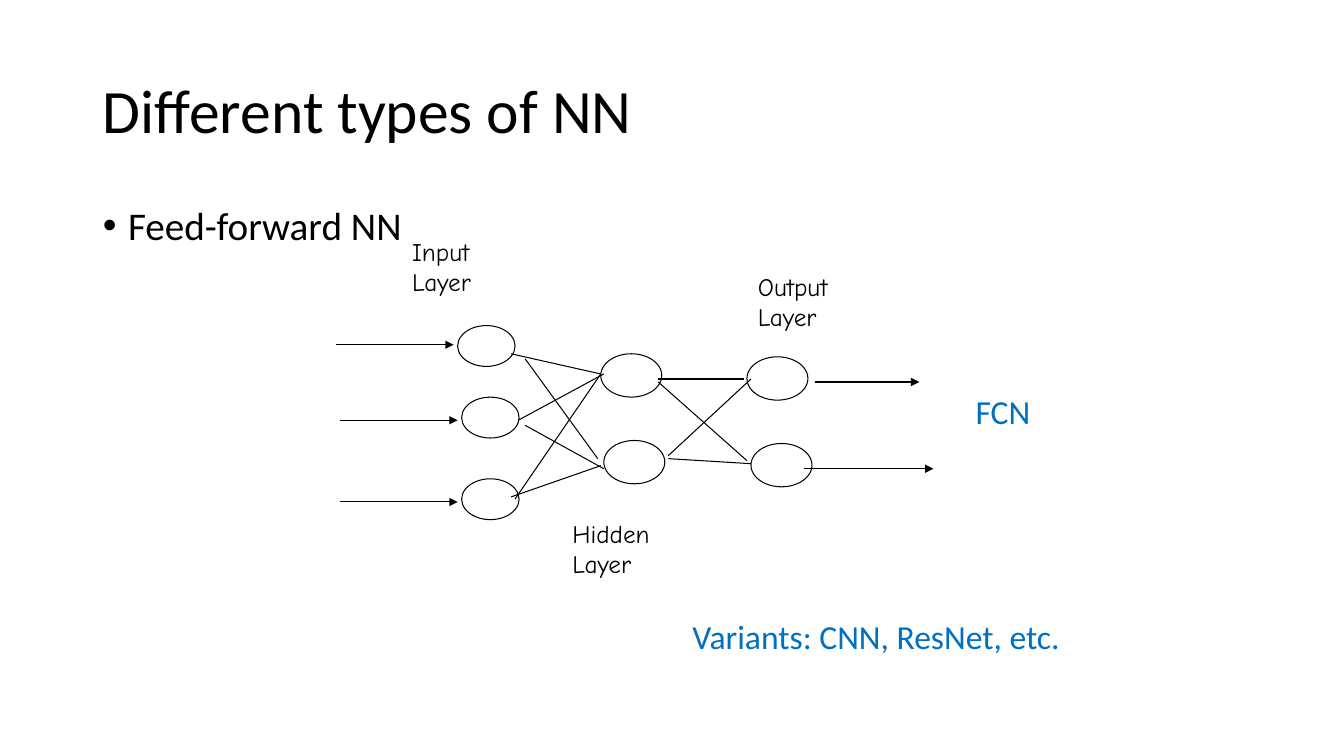
import pptx
import pptx.dml.color
import pptx.enum.shapes
import pptx.enum.text
import pptx.util
import lxml.etree

CELL = pptx.util.Inches(0.1)  # the page is 133.33 columns by 75 rows
BLACK, WHITE, BLUE = "000000", "FFFFFF", "0070C0"


def grid(*cells):
    """Turn columns and rows into lengths."""
    return [pptx.util.Emu(round(cell * CELL)) for cell in cells]


def paint(target, colour):
    """Give a fill, a line fill or a font one solid colour."""
    if hasattr(target, "solid"):
        target.solid()
        target = target.fore_color
    else:
        target = target.color
    target.rgb = pptx.dml.color.RGBColor.from_string(colour)


deck = pptx.Presentation()
deck.slide_width, deck.slide_height = grid(133.33, 75)
page = deck.slides.add_slide(deck.slide_layouts[1])
title, body = page.placeholders
title.left, title.top, title.width, title.height = grid(9.2, 4, 115, 14.5)
body.left, body.top, body.width, body.height = grid(9.2, 20, 115, 47.6)

# Each entry: box, text, size, font, colour, line spacing
texts = [
    (title, "Different types of NN", 44, "Calibri", BLACK, 0.9),
    (body, "Feed-forward NN", 28, "Calibri", BLACK, 0.9),
]

diagram = page.shapes.add_group_shape()

layer_labels = [
    ("Hidden", 55.8, 50.9, 17.1),
    ("Input", 39.9, 22.9, 16.2),
    ("Output", 74.2, 26.4, 21.7),
]
for layer, left, top, width in layer_labels:
    label = diagram.shapes.add_shape(
        pptx.enum.shapes.MSO_SHAPE.RECTANGLE, *grid(left, top, width, 7.9))
    label.shadow.inherit = False
    paint(label.fill, WHITE)
    label.line.fill.background()
    texts.append((label, layer + "\vLayer", 18, "Comic Neue", BLACK, 1))

# Each layer: node size, then the left top corners of its nodes
layers = [
    (5.7, 4.05, [(45.4, 32.3), (45.8, 39.4), (45.8, 47.5)]),
    (6.05, 4.3, [(74.1, 35.4), (74.5, 44)]),
    (6.05, 4.3, [(59.6, 35.1), (59.9, 43.7)]),
]
for width, height, corners in layers:
    for left, top in corners:
        node = diagram.shapes.add_shape(
            pptx.enum.shapes.MSO_SHAPE.OVAL, *grid(left, top, width, height))
        node.shadow.inherit = False
        paint(node.fill, WHITE)
        paint(node.line.fill, BLACK)
        node.line.width = pptx.util.Pt(0.75)

arrows = [
    (33.3, 34.2, 45, 34.2),
    (33.7, 41.7, 45.4, 41.7),
    (33.7, 49.8, 45.4, 49.8),
    (80.9, 37.9, 91.2, 37.9),
    (79.8, 46.5, 92.6, 46.5),
]
input_to_hidden = [
    (50.7, 35.1, 59.6, 37.1),
    (59.3, 45.5, 52.1, 35.6),
    (51.4, 41.7, 59.9, 37.1),
    (52.1, 42.2, 59.9, 46.5),
    (50.7, 49.3, 59.6, 46.2),
    (51.1, 49.5, 59.6, 37.1),
]
hidden_to_output = [
    (65.3, 37.9, 74.1, 45.7),
    (66.3, 45.2, 74.5, 37.6),
    (66.3, 45.5, 74.5, 46),
    (65.3, 37.6, 73.8, 37.6),
]
for ends in arrows + input_to_hidden + hidden_to_output:
    link = diagram.shapes.add_connector(
        pptx.enum.shapes.MSO_CONNECTOR.STRAIGHT, *grid(*ends))
    paint(link.line.fill, BLACK)
    link.line.width = pptx.util.Pt(0.75)
    if ends in arrows:
        lxml.etree.SubElement(
            link.line._get_or_add_ln(), pptx.oxml.ns.qn("a:tailEnd"), type="triangle")
    lxml.etree.SubElement(link._element.spPr, pptx.oxml.ns.qn("a:effectLst"))

notes = [
    ("Variants: CNN, ResNet, etc.", 67.7, 60.6, 38.8),
    ("FCN", 95.8, 38.3, 7.5),
]
for wording, left, top, width in notes:
    note = page.shapes.add_textbox(*grid(left, top, width, 5))
    texts.append((note, wording, 24, "Calibri", BLUE, 1))

for box, wording, size, font, colour, spacing in texts:
    frame = box.text_frame
    frame.text = wording
    frame.word_wrap = colour != BLUE
    frame.auto_size = pptx.enum.text.MSO_AUTO_SIZE.NONE
    frame.vertical_anchor = pptx.enum.text.MSO_ANCHOR.TOP
    para = frame.paragraphs[0]
    para.alignment = pptx.enum.text.PP_ALIGN.LEFT
    para.line_spacing = spacing
    para.space_before = pptx.util.Pt(0)
    for span in para.runs:
        span.font.size = pptx.util.Pt(size)
        span.font.name = font
        paint(span.font, colour)

title.text_frame.vertical_anchor = pptx.enum.text.MSO_ANCHOR.MIDDLE
bullet = body.text_frame.paragraphs[0]._p.get_or_add_pPr()
hanging, = grid(2.5)
bullet.set("marL", str(hanging))
bullet.set("indent", str(-hanging))
lxml.etree.SubElement(bullet, pptx.oxml.ns.qn("a:buFont"), typeface="Arial")
lxml.etree.SubElement(bullet, pptx.oxml.ns.qn("a:buChar"), char="•")

deck.save("out.pptx")
